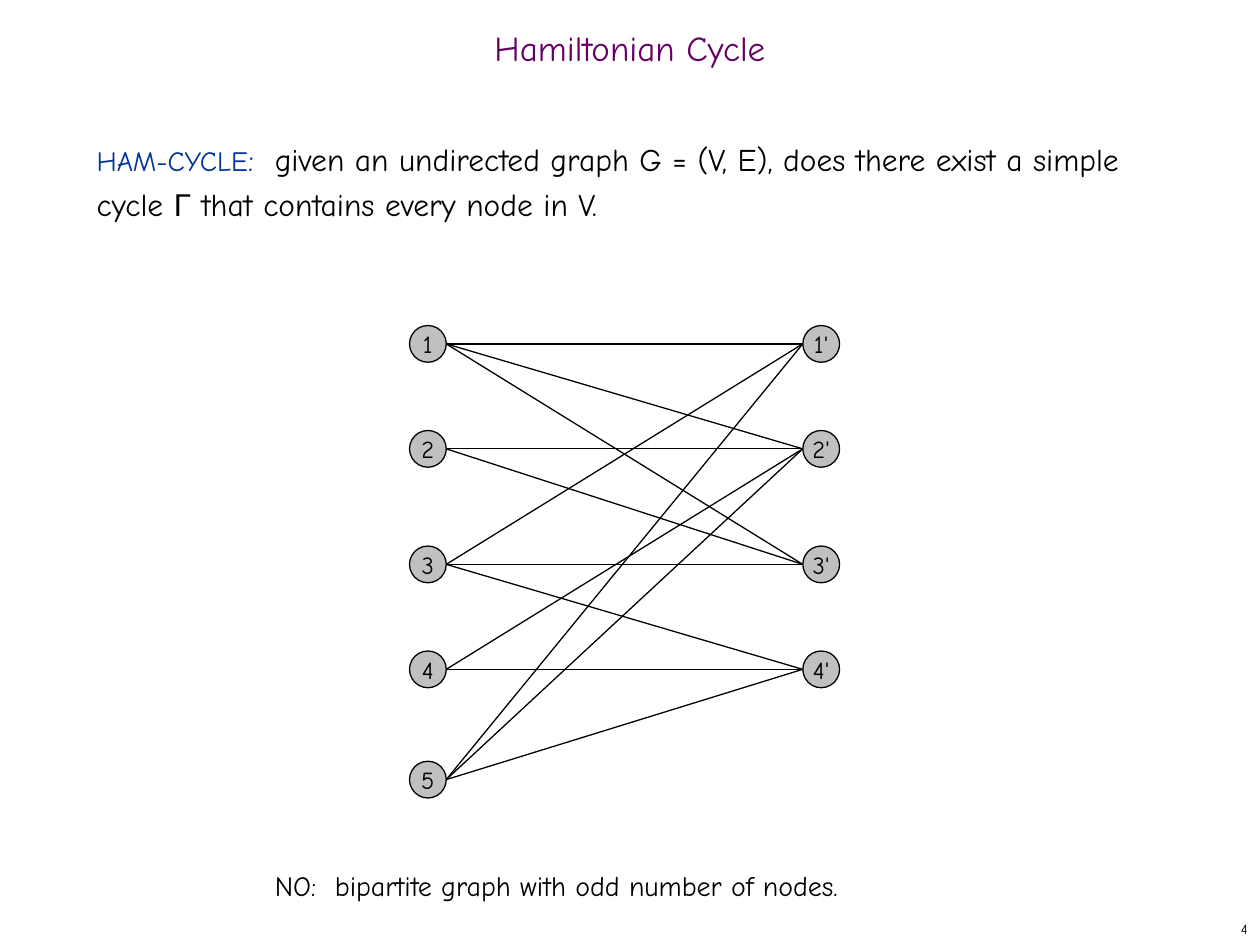
from dataclasses import dataclass
from typing import Any

from lxml.etree import SubElement
from pptx import Presentation
from pptx.dml.color import RGBColor
from pptx.enum.shapes import MSO_CONNECTOR, MSO_SHAPE
from pptx.enum.text import MSO_ANCHOR, MSO_AUTO_SIZE, PP_ALIGN
from pptx.oxml.ns import qn
from pptx.util import Pt

FONT = "Comic Neue"
BLACK, GRAY, PURPLE, BLUE = "000000", "C0C0C0", "660066", "003399"
DIAMETER = 21
LEFT_X, RIGHT_X = 244.5, 469.25
ROWS = [196.5, 256.5, 322.5, 382.5, 445.5]
EDGES = {"1": "123", "2": "23", "3": "134", "4": "24", "5": "124"}


@dataclass
class Node:
    label: str
    x: float
    y: float


@dataclass
class Phrase:
    text: str
    size: float
    color: str = BLACK
    font: str = FONT


def rgb(code: str) -> RGBColor:
    return RGBColor.from_string(code)


def apply_format(target: Any, values: dict[str, Any]) -> None:
    for name, value in values.items():
        setattr(target, name, value)


def place(shape: Any, left: float, top: float, width: float, height: float) -> None:
    box = {"left": left, "top": top, "width": width, "height": height}
    apply_format(shape, {side: Pt(length) for side, length in box.items()})


def write(shape: Any, phrases: list[Phrase], frame_format: dict[str, Any],
          paragraph_format: dict[str, Any]) -> None:
    frame = shape.text_frame
    apply_format(frame, {"word_wrap": True, "auto_size": MSO_AUTO_SIZE.NONE} | frame_format)
    paragraph = frame.paragraphs[0]
    apply_format(paragraph, {"space_before": Pt(0)} | paragraph_format)
    for phrase in phrases:
        run = paragraph.add_run()
        run.text = phrase.text
        apply_format(run.font, {"name": phrase.font, "size": Pt(phrase.size)})
        run.font.color.rgb = rgb(phrase.color)


def draw_edge(shapes: Any, start: Node, end: Node) -> None:
    radius = DIAMETER / 2
    edge = shapes.add_connector(
        MSO_CONNECTOR.STRAIGHT,
        Pt(start.x + radius), Pt(start.y), Pt(end.x - radius), Pt(end.y))
    edge.line.width = Pt(0.75)
    edge.line.color.rgb = rgb(BLACK)
    SubElement(edge._element.spPr, qn("a:effectLst"))


def draw_node(shapes: Any, node: Node) -> None:
    radius = DIAMETER / 2
    circle = shapes.add_shape(
        MSO_SHAPE.OVAL, Pt(node.x - radius), Pt(node.y - radius), Pt(DIAMETER), Pt(DIAMETER))
    circle.shadow.inherit = False
    circle.fill.solid()
    circle.fill.fore_color.rgb = rgb(GRAY)
    circle.line.width = Pt(0.75)
    circle.line.color.rgb = rgb(BLACK)
    write(circle, [Phrase(node.label, 14)],
          {"word_wrap": False, "vertical_anchor": MSO_ANCHOR.MIDDLE},
          {"alignment": PP_ALIGN.CENTER})


def main() -> None:
    deck = Presentation()
    apply_format(deck, {"slide_width": Pt(720), "slide_height": Pt(540)})
    slide = deck.slides.add_slide(deck.slide_layouts[1])
    shapes = slide.shapes

    title = shapes.title
    place(title, 0, 12, 720, 36)
    write(title, [Phrase("Hamiltonian Cycle", 20, PURPLE)],
          {"vertical_anchor": MSO_ANCHOR.MIDDLE},
          {"alignment": PP_ALIGN.CENTER, "line_spacing": 0.7})

    definition = slide.placeholders[1]
    place(definition, 48, 72, 618, 426)
    properties = definition.text_frame.paragraphs[0]._p.get_or_add_pPr()
    properties.set("marL", "0")
    properties.set("indent", "0")
    SubElement(properties, qn("a:buNone"))
    write(definition, [
        Phrase("HAM-CYCLE", 16, BLUE),
        Phrase(":  ", 18, BLUE),
        Phrase("given an undirected graph G = (V, E), does there exist a simple cycle ", 18),
        Phrase("Γ", 18, font="Arial"),
        Phrase(" that contains every node in V.", 18),
    ], {"vertical_anchor": MSO_ANCHOR.TOP}, {"line_spacing": Pt(26)})

    left_nodes = {str(i): Node(str(i), LEFT_X, y) for i, y in enumerate(ROWS, 1)}
    right_nodes = {str(i): Node(f"{i}'", RIGHT_X, y) for i, y in enumerate(ROWS[:4], 1)}
    for start, ends in EDGES.items():
        for end in ends:
            draw_edge(shapes, left_nodes[start], right_nodes[end])
    for node in [*left_nodes.values(), *right_nodes.values()]:
        draw_node(shapes, node)

    answer = shapes.add_textbox(Pt(150), Pt(492.5), Pt(426), Pt(26.5))
    write(answer, [Phrase("NO:  bipartite graph with odd number of nodes.", 16)], {}, {})

    page_number = shapes.add_textbox(Pt(570), Pt(522), Pt(150), Pt(18))
    write(page_number, [Phrase("4", 8)], {"vertical_anchor": MSO_ANCHOR.MIDDLE},
          {"alignment": PP_ALIGN.RIGHT})

    deck.save("out.pptx")


if __name__ == "__main__":
    main()
